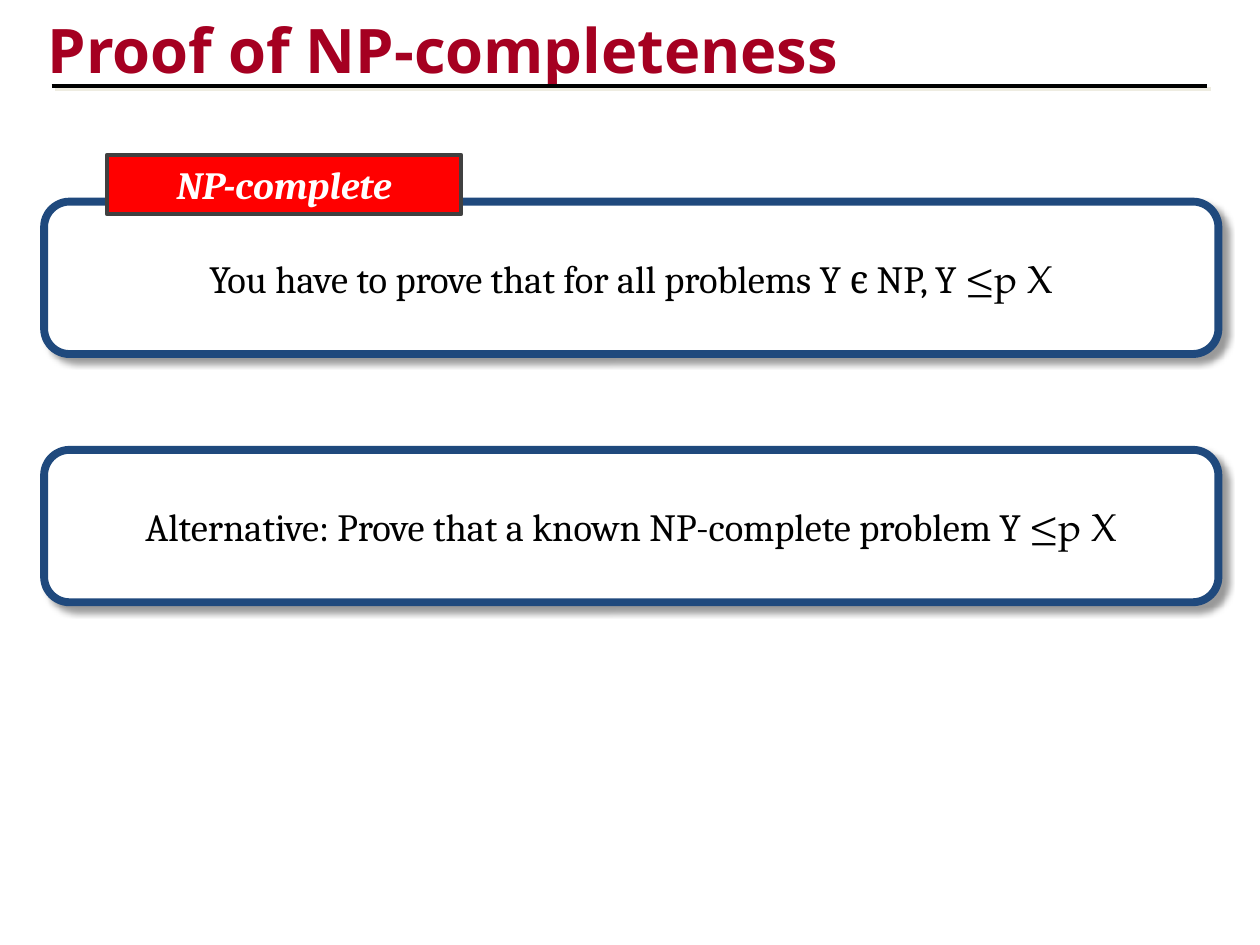
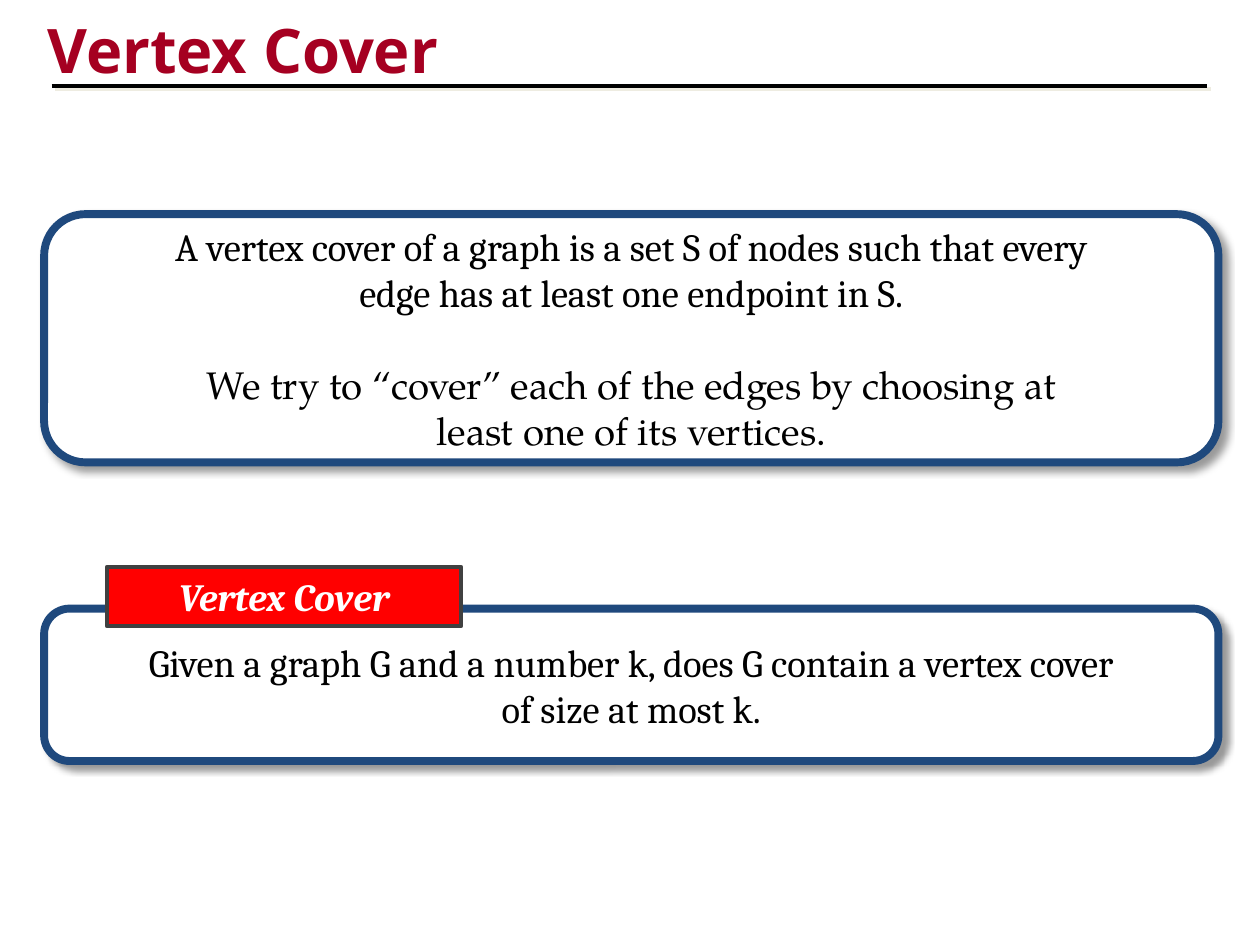
from lxml import etree
from pptx import Presentation
from pptx.dml.color import RGBColor
from pptx.enum.shapes import MSO_CONNECTOR, MSO_SHAPE
from pptx.enum.text import MSO_ANCHOR, PP_ALIGN
from pptx.oxml.ns import qn
from pptx.util import Inches, Pt

LINE = MSO_CONNECTOR.STRAIGHT
RECT, ROUND = MSO_SHAPE.RECTANGLE, MSO_SHAPE.ROUNDED_RECTANGLE
MIDDLE = MSO_ANCHOR.MIDDLE
LEFT, CENTER = PP_ALIGN.LEFT, PP_ALIGN.CENTER

WHITE = RGBColor(0xFF, 0xFF, 0xFF)
BLACK = RGBColor(0x00, 0x00, 0x00)
CRIMSON = RGBColor(0xA5, 0x00, 0x21)
NAVY = RGBColor(0x1F, 0x49, 0x7D)
RED = RGBColor(0xFF, 0x00, 0x00)
GRAY = RGBColor(0x40, 0x40, 0x40)
CREAM = RGBColor(0xEE, 0xEC, 0xE1)

HEAD, BODY, MATH = "Open Sans", "Cambria", "TeX Gyre Pagella"


def shadow(color, alpha, blur, dist):
    """Return an effect list with a shadow falling to the lower right."""
    effects = etree.Element(qn("a:effectLst"))
    outer = etree.SubElement(effects, qn("a:outerShdw"), blurRad=str(Pt(blur)),
                             dist=str(Pt(dist)), dir=str(45 * 60000),
                             algn="tl", rotWithShape="0")
    tint = etree.SubElement(outer, qn("a:srgbClr"), val=str(color))
    etree.SubElement(tint, qn("a:alpha"), val=str(alpha * 1000))
    return effects


def write(par, text, font=BODY, size=22, color=BLACK, bold=False, italic=False):
    """Add one formatted run to a paragraph."""
    run = par.add_run()
    run.text = text
    style = run.font
    style.name, style.size = font, Pt(size)
    style.bold, style.italic = bold, italic
    style.color.rgb = color
    return run


class Deck:
    def __init__(self):
        self.prs = Presentation()
        self.prs.slide_width, self.prs.slide_height = Inches(10), Inches(7.5)
        self.slide = None

    def page(self, title):
        """Start a slide with its title and the rule beneath."""
        self.slide = self.prs.slides.add_slide(self.prs.slide_layouts[6])
        area = self.slide.shapes.add_textbox(
            Inches(0.28), Inches(0.05), Inches(8.5), Inches(0.67))
        frame = area.text_frame
        frame.word_wrap = True
        frame.vertical_anchor = MIDDLE
        frame.paragraphs[0].alignment = LEFT
        run = write(frame.paragraphs[0], title, font=HEAD, size=35.1,
                    color=CRIMSON, bold=True)
        fill = run.font._element.find(qn("a:solidFill"))
        fill.addnext(shadow(CREAM, 100, 0, 2.8))
        self.rule(0.41, 9.58, 0.68)

    def rule(self, start, end, top):
        line = self.slide.shapes.add_connector(
            LINE, Inches(start), Inches(top), Inches(end), Inches(top))
        line.line.color.rgb = BLACK
        line.line.width = Pt(2.25)
        line._element.spPr.append(shadow(CREAM, 100, 0, 2.8))

    def shape(self, kind, left, top, width, height, fill, edge, weight):
        item = self.slide.shapes.add_shape(
            kind, Inches(left), Inches(top), Inches(width), Inches(height))
        item.shadow.inherit = False
        item.fill.solid()
        item.fill.fore_color.rgb = fill
        item.line.color.rgb = edge
        item.line.width = Pt(weight)
        item.text_frame.vertical_anchor = MIDDLE
        return item

    def panel(self, top, rows, height=1.21):
        """Rounded box; each row is a gap above and (text, font) runs."""
        box = self.shape(ROUND, 0.35, top, 9.32, height, WHITE, NAVY, 4.5)
        box.adjustments[0] = 0.167
        props = box._element.spPr
        props.replace(props.find(qn("a:effectLst")), shadow(BLACK, 40, 4, 4))
        frame = box.text_frame
        frame.word_wrap = False
        for i, (gap, runs) in enumerate(rows):
            par = frame.add_paragraph() if i else frame.paragraphs[0]
            par.alignment = CENTER
            par.space_before = Pt(gap)
            for text, font in runs:
                write(par, text, font=font)

    def tag(self, top, text):
        """Red label that overlaps the top edge of a panel."""
        box = self.shape(RECT, 0.85, top, 2.81, 0.47, RED, GRAY, 2.5)
        par = box.text_frame.paragraphs[0]
        par.alignment = CENTER
        write(par, text, color=WHITE, bold=True, italic=True)


def main():
    deck = Deck()

    # Two ways to prove completeness
    deck.page("Proof of NP-completeness")
    goal = ("≤p X", MATH)
    deck.panel(1.6, [
        (0, [("You have to prove that for all problems Y є NP, Y ", BODY), goal])])
    deck.tag(1.23, "NP-complete")
    deck.panel(3.57, [
        (0, [("Alternative: Prove that a known NP-complete problem Y ", BODY),
             goal])])

    # Definition and decision problem
    deck.page("Vertex Cover")
    deck.panel(4.83, [
        (0, [("Given a graph G and a number k, does G contain a vertex cover",
              BODY)]),
        (0, [("of size at most k.", BODY)])])
    deck.tag(4.5, "Vertex Cover")
    deck.panel(1.7, [
        (0, [("A vertex cover of a graph is a set S of nodes such that every",
              BODY)]),
        (0, [("edge has at least one endpoint in S.", BODY)]),
        (26, [("We try to “cover” each of the edges by choosing at", MATH)]),
        (0, [("least one of its vertices.", MATH)])], height=1.97)

    deck.prs.save("out.pptx")


if __name__ == "__main__":
    main()
